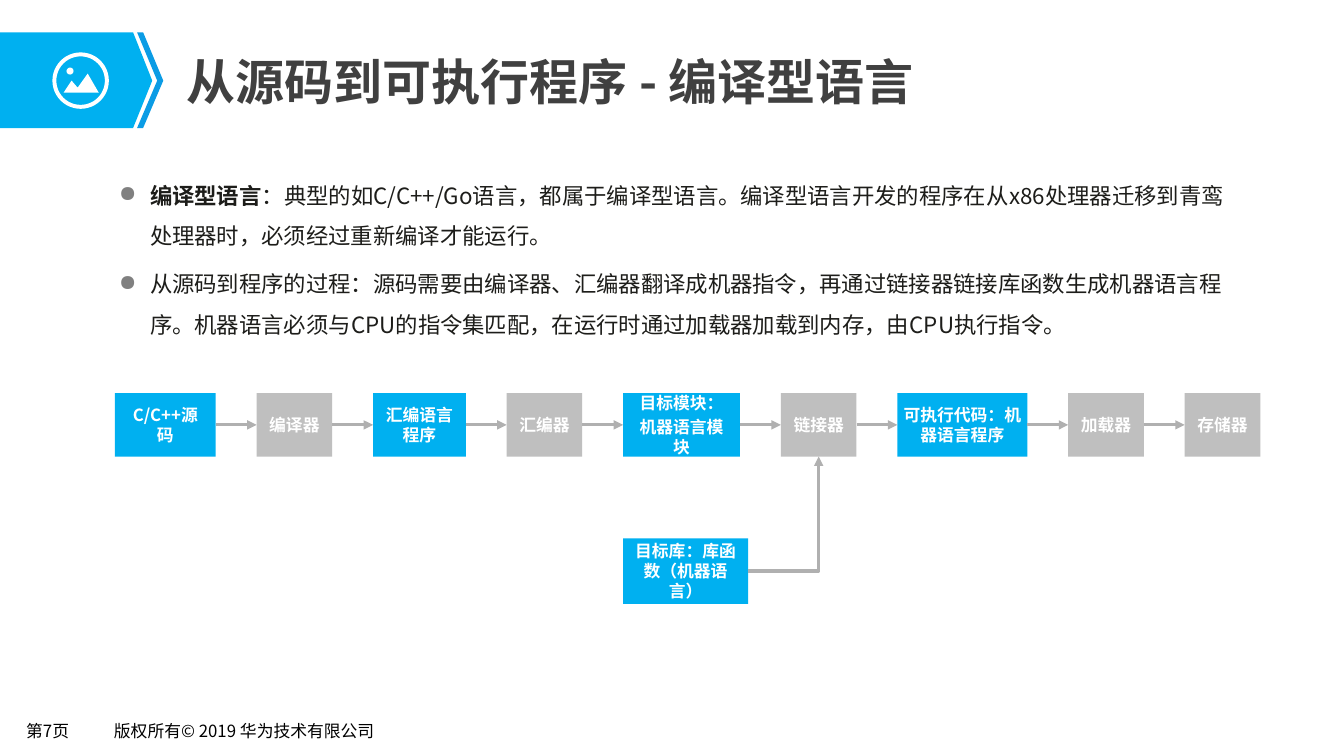
"""Build a slide on how source code becomes a running program."""
from lxml import etree
from pptx import Presentation
from pptx.dml.color import RGBColor
from pptx.enum.shapes import MSO_CONNECTOR, MSO_SHAPE
from pptx.enum.text import MSO_ANCHOR, PP_ALIGN
from pptx.oxml.ns import qn
from pptx.util import Inches, Pt

RECT, OVAL, DONUT = MSO_SHAPE.RECTANGLE, MSO_SHAPE.OVAL, MSO_SHAPE.DONUT
STRAIGHT, ELBOW = MSO_CONNECTOR.STRAIGHT, MSO_CONNECTOR.ELBOW
MIDDLE, TOP = MSO_ANCHOR.MIDDLE, MSO_ANCHOR.TOP
CENTER, LEFT = PP_ALIGN.CENTER, PP_ALIGN.LEFT

TITLE = "从源码到可执行程序 - 编译型语言"
FOOTERS = [(0.17, 0.74, "第7页"), (1.04, 2.85, "版权所有© 2019 华为技术有限公司")]
BODY = [
    [("编译型语言", True),
     ("：典型的如C/C++/Go语言，都属于编译型语言。编译型语言开发的程序在从x86处理器"
      "迁移到青鸾处理器时，必须经过重新编译才能运行。", False)],
    [("从源码到程序的过程：源码需要由编译器、汇编器翻译成机器指令，再通过链接器链接"
      "库函数生成机器语言程序。机器语言必须与CPU的指令集匹配，在运行时通过加载器加载"
      "到内存，由CPU执行指令。", False)],
]
STEPS = [
    (["C/C++源码"], 1.0, "blue", 0.1),
    (["编译器"], 0.75, "gray", 0.1),
    (["汇编语言程序"], 0.92, "blue", 0.1),
    (["汇编器"], 0.75, "gray", 0.1),
    (["目标模块：", "机器语言模块"], 1.16, "blue", 0.1),
    (["链接器"], 0.75, "gray", 0.1),
    (["可执行代码：机器语言程序"], 1.29, "blue", 0),
    (["加载器"], 0.75, "gray", 0),
    (["存储器"], 0.75, "gray", 0),
]
LIBRARY = ["目标库：库函数（机器语言）"]
MODULE, LINKER = 4, 5
BANNER = [(0, 0.32), (1.32, 0.32), (1.51, 0.8), (1.32, 1.27), (0, 1.27)]
CHEVRON = [(1.36, 0.32), (1.42, 0.32), (1.62, 0.8), (1.42, 1.27), (1.36, 1.27), (1.56, 0.8)]
HILLS = [(0.63, 0.92), (0.71, 0.8), (0.77, 0.87), (0.87, 0.73), (0.98, 0.92)]

THEME = {
    "font": "Noto Sans CJK SC",
    "blue": "00B0F0", "edge": "0B9CE5", "gray": "BFBFBF", "line": "B0B0B0",
    "title": "404040", "text": "1D1D1A", "dot": "808080",
    "white": "FFFFFF", "black": "000000",
    "head": 35, "body": 16, "small": 12,
}
ROW, HIGH, START, END = 3.9, 0.63, 1.14, 12.5

deck = Presentation()
deck.slide_width, deck.slide_height = Inches(13.33), Inches(7.5)
slide = deck.slides.add_slide(deck.slide_layouts[6])
shapes = slide.shapes


def color(name):
    return RGBColor.from_string(THEME[name])


def paint(shape, fill):
    shape.fill.solid()
    shape.fill.fore_color.rgb = color(fill)
    shape.line.fill.background()
    shape.shadow.inherit = False
    return shape


def block(kind, area, fill):
    return paint(shapes.add_shape(kind, *map(Inches, area)), fill)


def outline(points, fill):
    spots = [(Inches(x), Inches(y)) for x, y in points]
    form = shapes.build_freeform(*spots[0])
    form.add_line_segments(spots[1:], close=True)
    return paint(form.convert_to_shape(), fill)


def bullet(para):
    props = para._p.get_or_add_pPr()
    props.set("marL", str(Inches(0.31)))
    props.set("indent", str(-Inches(0.31)))
    tint = etree.SubElement(props, qn("a:buClr"))
    etree.SubElement(tint, qn("a:srgbClr"), val=THEME["dot"])
    etree.SubElement(props, qn("a:buChar"), char="●")


def write(shape, paras, size="small", tint="black", bold=False, align=LEFT,
          anchor=TOP, pad=(0.1, 0.05), wrap=True, gap=0, space=None, dots=False):
    frame = shape.text_frame
    frame.word_wrap, frame.vertical_anchor = wrap, anchor
    frame.margin_left = frame.margin_right = Inches(pad[0])
    frame.margin_top = frame.margin_bottom = Inches(pad[1])
    for i, item in enumerate(paras):
        para = frame.add_paragraph() if i else frame.paragraphs[0]
        para.alignment = align
        if space:
            para.line_spacing = space
        if i:
            para.space_before = Pt(gap)
        if dots:
            bullet(para)
        for words, heavy in [(item, bold)] if isinstance(item, str) else item:
            run = para.add_run()
            run.text = words
            font = run.font
            font.name, font.size, font.bold = THEME["font"], Pt(THEME[size]), heavy
            font.color.rgb = color(tint)
            for tag in ("a:ea", "a:cs"):
                etree.SubElement(run._r.rPr, qn(tag), typeface=THEME["font"])


def label(area, paras, **look):
    write(shapes.add_textbox(*map(Inches, area)), paras, **look)


def node(area, paras, fill, side=0.1):
    box = block(RECT, area, fill)
    write(box, paras, tint="white", bold=True, align=CENTER, anchor=MIDDLE,
          pad=(side, 0.05), gap=3)
    return box


def arrow(start, end, kind=STRAIGHT, site=1):
    link = shapes.add_connector(kind, 0, 0, 0, 0)
    link.begin_connect(start, 3)
    link.end_connect(end, site)
    link.line.color.rgb, link.line.width = color("line"), Pt(2.25)
    props = link._element.spPr
    etree.SubElement(link.line._get_or_add_ln(), qn("a:tailEnd"), type="triangle")
    etree.SubElement(props, qn("a:effectLst"))
    if kind == ELBOW:
        props.find(qn("a:prstGeom")).set("prst", "bentConnector2")


for left, width, words in FOOTERS:
    label((left, 7.11, width, 0.29), [words], pad=(0.09, 0.04), wrap=False)

outline(BANNER, "blue")
outline(CHEVRON, "edge")
ring = block(DONUT, (0.52, 0.52, 0.56, 0.56), "white")
ring.adjustments[0] = 0.07
outline(HILLS, "white")
block(OVAL, (0.66, 0.67, 0.07, 0.07), "white")

label((1.74, 0.45, 10.75, 0.7), [TITLE], size="head", tint="title", bold=True,
      pad=(0.11, 0.06))
label((1.08, 1.62, 11.26, 1.8), BODY, size="body", tint="text", gap=6, space=1.5,
      dots=True)

gap = (END - START - sum(step[1] for step in STEPS)) / (len(STEPS) - 1)
nodes, left = [], START
for words, width, fill, side in STEPS:
    nodes.append(node((left, ROW, width, HIGH), words, fill, side))
    left += width + gap
library = node((nodes[MODULE].left / Inches(1), 5.34, 1.24, 0.65), LIBRARY, "blue")

for start, end in zip(nodes, nodes[1:]):
    arrow(start, end)
arrow(library, nodes[LINKER], ELBOW, 2)

deck.save("out.pptx")
